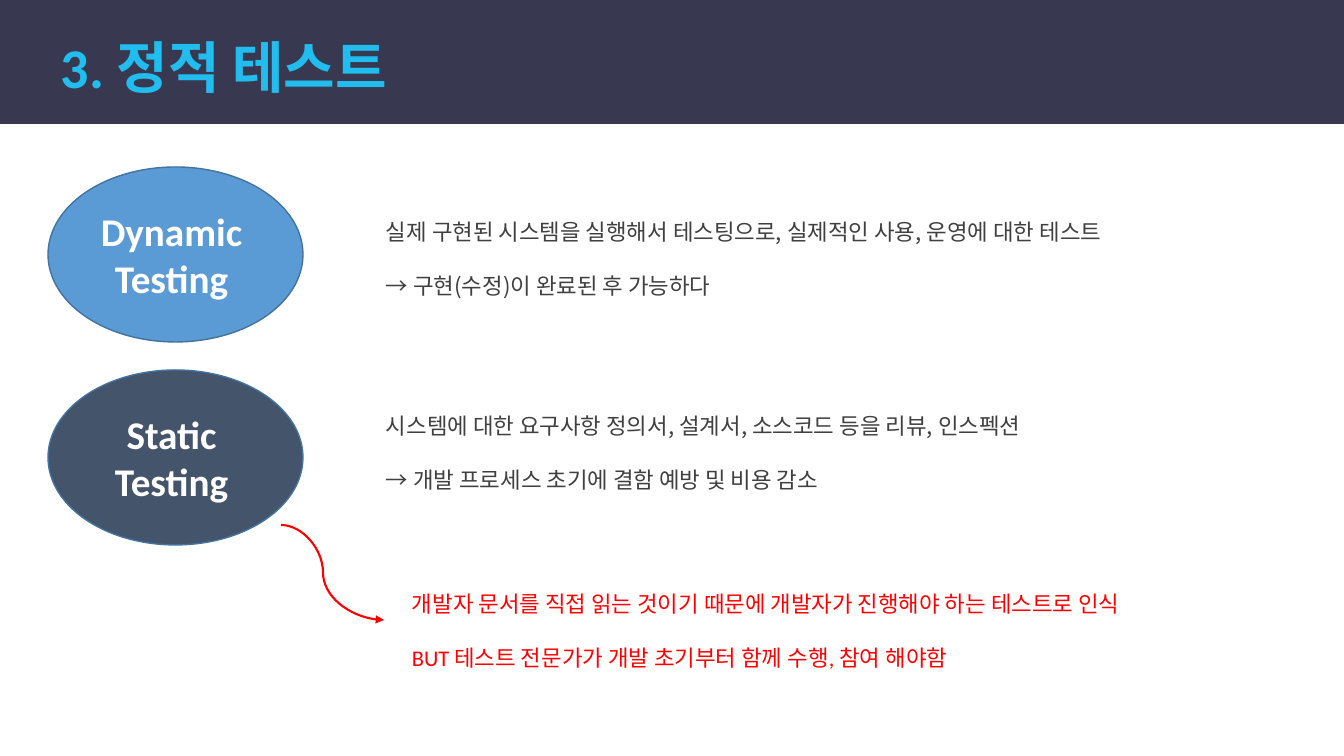
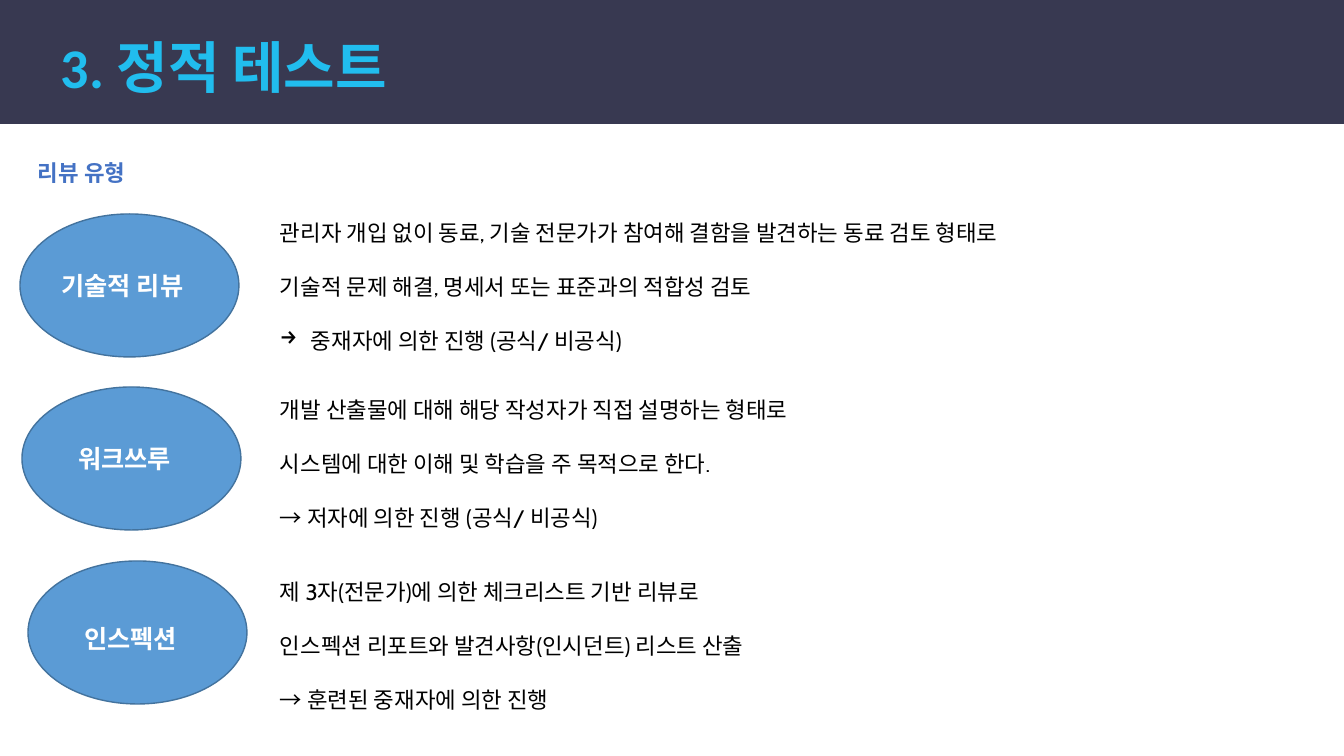
from lxml.etree import SubElement
from pptx import Presentation
from pptx.dml.color import RGBColor
from pptx.enum.shapes import MSO_CONNECTOR as Connector, MSO_SHAPE as Shape
from pptx.enum.text import MSO_ANCHOR as Anchor, PP_ALIGN as Align
from pptx.oxml.ns import qn
from pptx.util import Emu, Pt

EMU_PER_PX = 914400 / 100.8
WIDTH, HEIGHT = 1344, 756
COLORS = {
    "band": "383951", "title": "21BDEE", "white": "FFFFFF", "black": "000000",
    "blue": "5B9BD5", "slate": "44546A", "outline": "43739E",
    "gray": "404040", "red": "FF0000", "heading": "4472C4",
}
LINE_HEIGHT = Pt(19.3)
BULLET = "→"


def px(value):
    return Emu(round(value * EMU_PER_PX))


def color(name):
    return RGBColor.from_string(COLORS[name])


def style(paragraph, font, size, color_name, bold=False):
    for run in paragraph.runs:
        run.font.name = font
        run.font.size = Pt(size)
        run.font.bold = bold
        run.font.color.rgb = color(color_name)


def set_margins(frame, left=0, top=0, right=0, bottom=0):
    frame.margin_left, frame.margin_top = px(left), px(top)
    frame.margin_right, frame.margin_bottom = px(right), px(bottom)


def add_text(slide, box, text):
    frame = slide.shapes.add_textbox(*map(px, box)).text_frame
    set_margins(frame)
    frame.word_wrap = True
    frame.text = text
    return frame


def add_plain_shape(slide, kind, box, fill):
    shape = slide.shapes.add_shape(kind, *map(px, box))
    shape.shadow.inherit = False
    shape.fill.solid()
    shape.fill.fore_color.rgb = color(fill)
    return shape


def add_titled_slide(deck, title):
    slide = deck.slides.add_slide(deck.slide_layouts[6])
    band = add_plain_shape(slide, Shape.RECTANGLE, (0, 0, WIDTH, 124), "band")
    band.line.fill.background()
    frame = add_text(slide, (61, 39, 600, 62), title)
    frame.vertical_anchor = Anchor.MIDDLE
    frame.paragraphs[0].line_spacing = 0.9
    style(frame.paragraphs[0], "Calibri", 40, "title", bold=True)
    return slide


def add_oval(slide, box, label, font, size, fill="blue", nudge=(0, 0)):
    """Labelled ellipse; nudge moves the label left and down from the centre."""
    oval = add_plain_shape(slide, Shape.OVAL, box, fill)
    oval.line.color.rgb = color("outline")
    oval.line.width = Pt(1)
    frame = oval.text_frame
    left, down = nudge
    set_margins(frame, right=2 * left, top=2 * down)
    frame.word_wrap = True
    frame.vertical_anchor = Anchor.MIDDLE
    frame.text = label
    for paragraph in frame.paragraphs:
        paragraph.alignment = Align.CENTER
        style(paragraph, font, size, "white", bold=True)


def add_arrow_bullet(paragraph):
    properties = paragraph._p.get_or_add_pPr()
    properties.set("marL", str(px(31)))
    properties.set("indent", str(px(-31)))
    SubElement(properties, qn("a:buChar")).set("char", BULLET)


def add_lines(slide, left, top, lines, font, color_name, bold=False, bulleted=()):
    """Lines of text with one empty line's height between them."""
    frame = add_text(slide, (left, top, 1000, 54 * len(lines) - 27), "\n".join(lines))
    for index, paragraph in enumerate(frame.paragraphs):
        if index in bulleted:
            add_arrow_bullet(paragraph)
        paragraph.line_spacing = LINE_HEIGHT
        if index:
            paragraph.space_before = LINE_HEIGHT
        style(paragraph, font, 16, color_name, bold)


def add_curved_arrow(slide, start, end):
    arrow = slide.shapes.add_connector(Connector.CURVE, *map(px, start + end))
    arrow.line.color.rgb = color("red")
    arrow.line.width = Pt(1.5)
    properties = arrow._element.spPr
    guides = properties.find(qn("a:prstGeom")).find(qn("a:avLst"))
    bend = SubElement(guides, qn("a:gd"))
    bend.set("name", "adj1")
    bend.set("fmla", "val 40800")
    SubElement(properties.find(qn("a:ln")), qn("a:tailEnd")).set("type", "triangle")
    SubElement(properties, qn("a:effectLst"))


def build_comparison(deck, title):
    slide = add_titled_slide(deck, title)
    kinds = [
        (167, "Dynamic\nTesting", "blue", 218, [
            "실제 구현된 시스템을 실행해서 테스팅으로, 실제적인 사용, 운영에 대한 테스트",
            "→ 구현(수정)이 완료된 후 가능하다"]),
        (370, "Static Testing", "slate", 412, [
            "시스템에 대한 요구사항 정의서, 설계서, 소스코드 등을 리뷰, 인스펙션",
            "→ 개발 프로세스 초기에 결함 예방 및 비용 감소"]),
    ]
    for oval_top, label, fill, text_top, lines in kinds:
        add_oval(slide, (48, oval_top, 255, 175), label, "Calibri", 28, fill, (4, 0))
        add_lines(slide, 386, text_top, lines, "Noto Sans CJK KR", "gray")
    add_curved_arrow(slide, (281, 525), (384, 620))
    add_lines(slide, 412, 590, [
        "개발자 문서를 직접 읽는 것이기 때문에 개발자가 진행해야 하는 테스트로 인식",
        "BUT 테스트 전문가가 개발 초기부터 함께 수행, 참여 해야함"], "Calibri", "red")


def build_review_types(deck, title):
    slide = add_titled_slide(deck, title)
    add_lines(slide, 38, 159, ["리뷰 유형"], "Cabin", "heading", bold=True)
    reviews = [
        (20, 214, "기술적 리뷰", 0, 219, [
            "관리자 개입 없이 동료, 기술 전문가가 참여해 결함을 발견하는 동료 검토 형태로",
            "기술적 문제 해결, 명세서 또는 표준과의 적합성 검토",
            "중재자에 의한 진행 (공식/ 비공식)"], [2]),
        (22, 387, "워크쓰루", 0, 396, [
            "개발 산출물에 대해 해당 작성자가 직접 설명하는 형태로",
            "시스템에 대한 이해 및 학습을 주 목적으로 한다.",
            "→ 저자에 의한 진행 (공식/ 비공식)"], []),
        (28, 561, "인스펙션", 6, 578, [
            "제 3자(전문가)에 의한 체크리스트 기반 리뷰로",
            "인스펙션 리포트와 발견사항(인시던트) 리스트 산출",
            "→ 훈련된 중재자에 의한 진행"], []),
    ]
    for left, oval_top, label, down, text_top, lines, bulleted in reviews:
        add_oval(slide, (left, oval_top, 219, 143), label, "Cabin", 18, nudge=(7, down))
        add_lines(slide, 280, text_top, lines, "Cabin", "black", bulleted=bulleted)


def main():
    deck = Presentation()
    deck.slide_width, deck.slide_height = px(WIDTH), px(HEIGHT)
    title = "3. 정적 테스트"
    build_comparison(deck, title)
    build_review_types(deck, title)
    deck.save("out.pptx")


if __name__ == "__main__":
    main()
